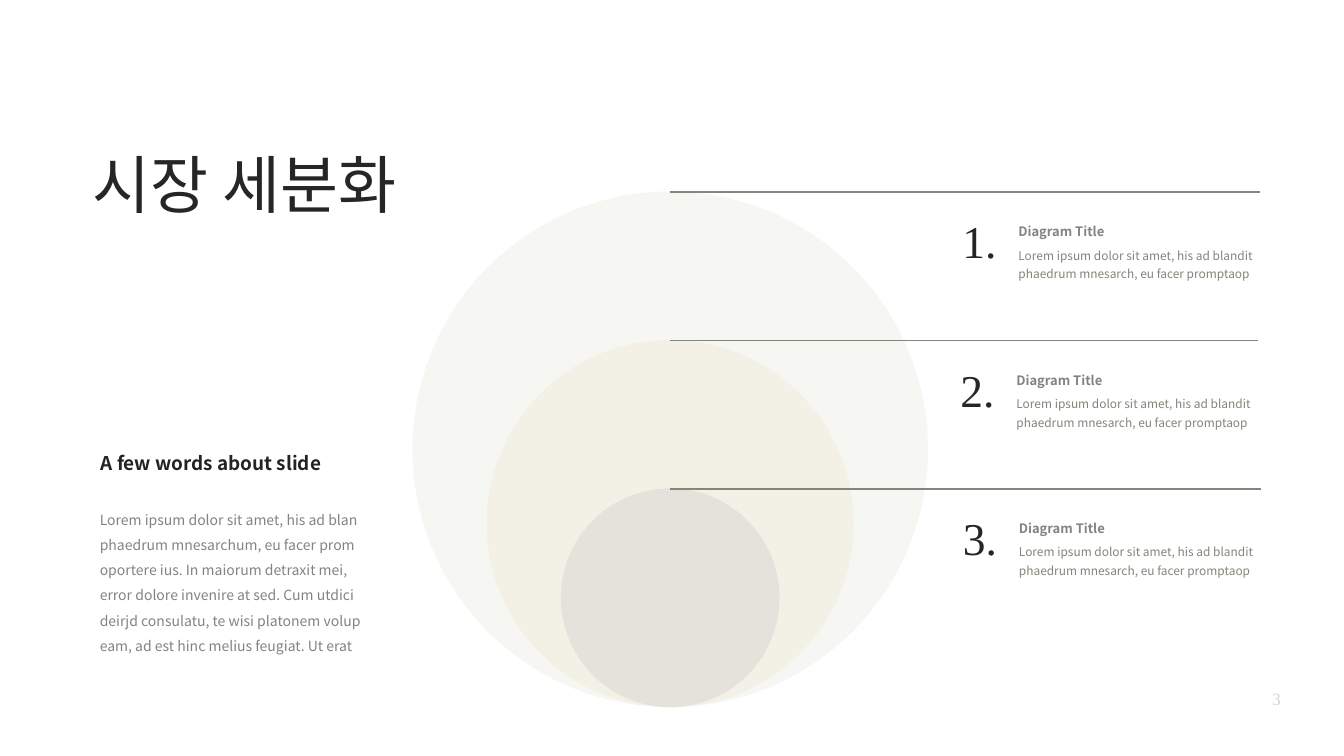
from dataclasses import dataclass

from lxml.etree import SubElement
from pptx import Presentation
from pptx.dml.color import RGBColor
from pptx.enum.shapes import MSO_CONNECTOR, MSO_SHAPE
from pptx.enum.text import MSO_ANCHOR, PP_ALIGN
from pptx.oxml.ns import qn
from pptx.util import Inches, Pt


@dataclass(frozen=True)
class Theme:
    sans: str = "Noto Sans CJK KR"
    serif: str = "Times New Roman"
    dark: str = "262626"
    heading: str = "232323"
    gray: str = "838383"
    olive: str = "818779"
    pale: str = "D5D5D5"
    rings: tuple = ("F6F6F3", "F3F1E6", "E5E2DC")
    title_size: float = 90
    number_size: float = 65
    heading_size: float = 27
    page_size: float = 25
    body_size: float = 20
    label_size: float = 18.5
    detail_size: float = 17
    line_width: float = 2


class SlideBuilder:
    def __init__(self, slide, theme):
        self.s = slide
        self.theme = theme

    def text(self, text, box, size, color, font=None, bold=False, inset=0.06,
             spacing=None, align=PP_ALIGN.LEFT, wrap=True):
        sp = self.s.shapes.add_textbox(*map(Inches, box))
        tf = sp.text_frame
        frame_format = {"word_wrap": wrap, "vertical_anchor": MSO_ANCHOR.TOP}
        for side in ("left", "top", "right", "bottom"):
            frame_format[f"margin_{side}"] = Inches(inset)
        p = tf.paragraphs[0]
        r = p.add_run()
        r.text = text
        name = font or self.theme.sans
        formats = (
            (tf, frame_format),
            (p, {"alignment": align, "line_spacing": spacing}),
            (r.font, {"name": name, "size": Pt(size), "bold": bold}),
        )
        for target, values in formats:
            for key, value in values.items():
                setattr(target, key, value)
        r.font.color.rgb = RGBColor.from_string(color)
        SubElement(r.font._element, qn("a:ea")).set("typeface", name)

    def circle(self, center, bottom, diameter, color):
        box = (center - diameter / 2, bottom - diameter, diameter, diameter)
        sp = self.s.shapes.add_shape(MSO_SHAPE.OVAL, *map(Inches, box))
        sp.shadow.inherit = False
        sp.fill.solid()
        sp.fill.fore_color.rgb = RGBColor.from_string(color)
        sp.line.fill.background()

    def rule(self, left, right, y):
        line = self.s.shapes.add_connector(
            MSO_CONNECTOR.STRAIGHT, *map(Inches, (left, y, right, y)))
        line.line.color.rgb = RGBColor.from_string(self.theme.olive)
        line.line.width = Pt(self.theme.line_width)
        SubElement(line._element.spPr, qn("a:effectLst"))

    def item(self, number, title, detail, left, top, center, right):
        t = self.theme
        self.rule(center, right, top)
        self.text(detail, (left, top + 0.95, 4.96, 1.39), t.detail_size,
                  t.olive, inset=0.08, spacing=1.3)
        self.text(f"{number}.", (left - 1.09, top + 0.36, 0.94, 1.5),
                  t.number_size, t.dark, font=t.serif)
        self.text(title, (left, top + 0.43, 4.96, 0.58), t.label_size,
                  t.gray, bold=True, inset=0.08, spacing=1.4)


def main():
    prs = Presentation()
    prs.slide_width, prs.slide_height = Inches(26.67), Inches(15)
    theme = Theme()
    slide = SlideBuilder(prs.slides.add_slide(prs.slide_layouts[6]), theme)

    slide.text("시장 세분화", (1.78, 2.82, 11.94, 2.08),
               theme.title_size, theme.dark)
    slide.text("Lorem ipsum dolor sit amet, his ad blan phaedrum mnesarchum, "
               "eu facer prom oportere ius. In maiorum detraxit mei, error "
               "dolore invenire at sed. Cum utdici deirjd consulatu, te wisi "
               "platonem volup eam, ad est hinc melius feugiat. Ut erat",
               (1.92, 9.92, 5.36, 3.38), theme.body_size, theme.gray,
               spacing=1.5)
    slide.text("3", (25.08, 13.6, 0.5, 0.53), theme.page_size, theme.pale,
               font=theme.serif, align=PP_ALIGN.CENTER, wrap=False)

    center, bottom, first_top, step = 13.3, 14.03, 3.8, 2.945
    for i, color in enumerate(theme.rings):
        slide.circle(center, bottom, bottom - first_top - i * step, color)

    detail = ("Lorem ipsum dolor sit amet, his ad blandit "
              "phaedrum mnesarch, eu facer promptaop")
    columns = ((20.13, 25.01), (20.09, 24.97), (20.14, 25.02))
    for i, (left, right) in enumerate(columns):
        slide.item(i + 1, "Diagram Title", detail, left,
                   first_top + 0.01 + i * step, center, right)

    slide.text("A few words about slide", (1.92, 8.89, 5.36, 0.83),
               theme.heading_size, theme.heading, bold=True, inset=0.08)
    prs.save("out.pptx")


if __name__ == "__main__":
    main()
